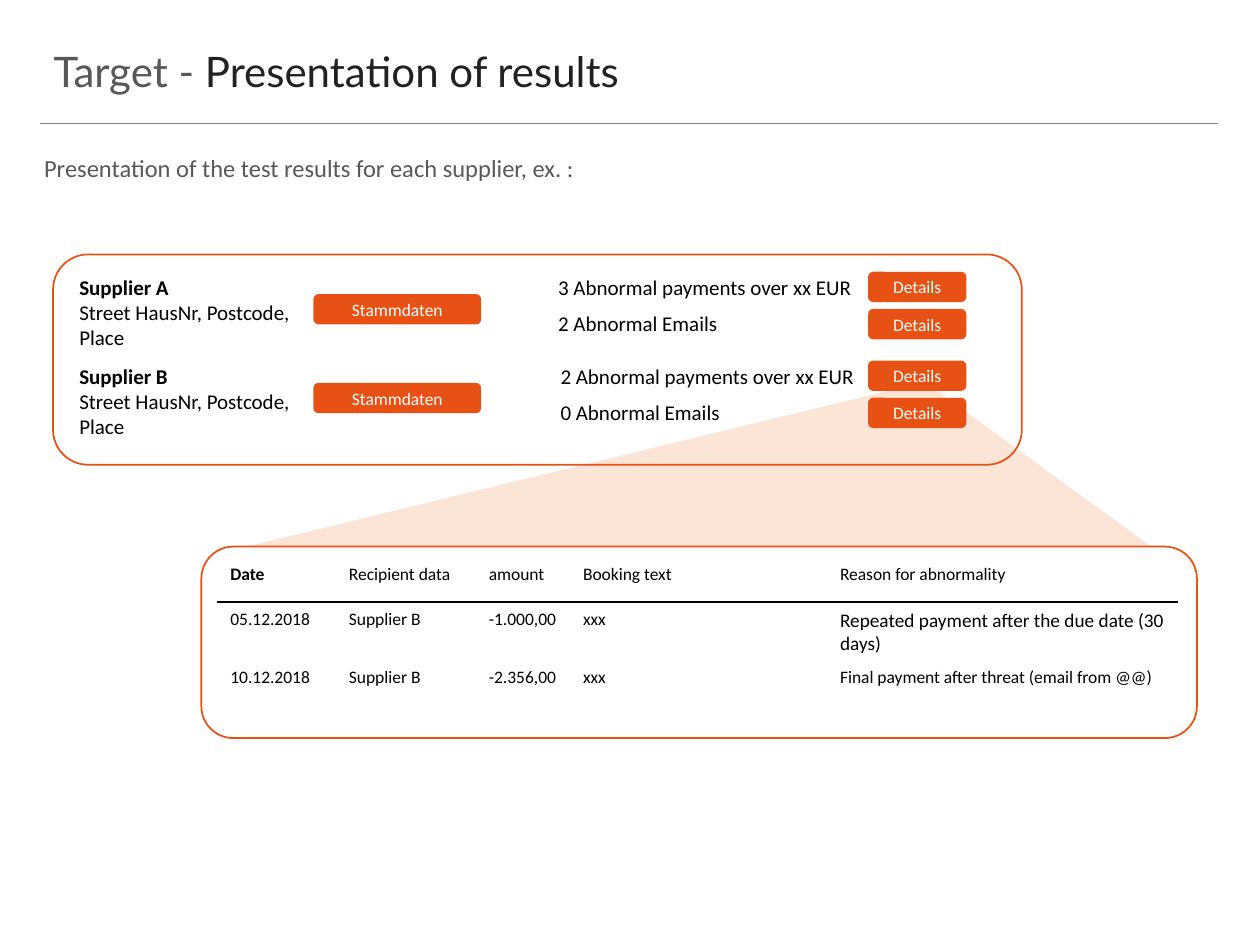
import pptx
import pptx.dml.color
import pptx.enum.shapes
import pptx.enum.text
import pptx.oxml
import pptx.util
from lxml import etree
from pptx.util import Cm

KIND = pptx.enum.shapes.MSO_SHAPE
DRAW = "http://schemas.openxmlformats.org/drawingml/2006/main"
ORANGE = "E75113"
BLACK = "000000"


def color(code):
    """Turn a hex string into a colour."""
    return pptx.dml.color.RGBColor.from_string(code)


def style(font, size, code, face="Calibri"):
    """Set the face, size and colour of a font."""
    font.name = face
    font.size = pptx.util.Pt(size)
    font.color.rgb = color(code)


def add_shape(slide, kind, box, fill=None, line=None):
    """Add a preset shape with a plain fill or outline."""
    shape = slide.shapes.add_shape(kind, *map(Cm, box))
    shape.shadow.inherit = False
    if fill:
        shape.fill.solid()
        shape.fill.fore_color.rgb = color(fill)
    else:
        shape.fill.background()
    if line:
        shape.line.color.rgb = color(line)
        shape.line.width = pptx.util.Pt(1)
    else:
        shape.line.fill.background()
    return shape


def add_text(slide, box, lines, size, code, after=0):
    """Add a wrapping text box, one paragraph a line, and return its frame."""
    frame = slide.shapes.add_textbox(*map(Cm, box)).text_frame
    frame.word_wrap = True
    for index, line in enumerate(lines):
        para = frame.paragraphs[0] if index == 0 else frame.add_paragraph()
        para.add_run().text = line
        para.space_after = pptx.util.Pt(after)
        style(para.font, size, code)
    return frame


def add_title(slide):
    """Add the two-tone title and the rule under it."""
    frame = add_text(slide, (0.64, 0.79, 16.08, 1.27), ["Target - "], 24, "58585A")
    frame.margin_left = Cm(0.44)
    para = frame.paragraphs[0]
    para.font.name = "Lato"
    run = para.add_run()
    run.text = "Presentation of results"
    run.font.color.rgb = color("202124")
    rule = slide.shapes.add_connector(
        pptx.enum.shapes.MSO_CONNECTOR.STRAIGHT, Cm(0.81), Cm(2.49), Cm(24.56), Cm(2.49))
    rule.line.color.rgb = color("7F7F7F")
    rule.line.width = pptx.util.Pt(0.75)
    etree.SubElement(rule._element.spPr, f"{{{DRAW}}}effectLst")


def add_button(slide, left, top, width, label):
    """Add an orange button with a centred label."""
    shape = add_shape(slide, KIND.ROUNDED_RECTANGLE, (left, top, width, 0.61), ORANGE)
    frame = shape.text_frame
    frame.margin_top = frame.margin_bottom = 0
    frame.vertical_anchor = pptx.enum.text.MSO_ANCHOR.MIDDLE
    para = frame.paragraphs[0]
    para.text = label
    para.alignment = pptx.enum.text.PP_ALIGN.CENTER
    style(para.font, 10, "FFFFFF")


def add_firm(slide, top, left, name, notes):
    """Add one supplier with its address, findings and buttons."""
    frame = add_text(slide, (1.35, top, 8.56, 2.31), ["", "Place"], 12, BLACK)
    para = frame.paragraphs[0]
    para.runs[0].text = name
    para.runs[0].font.bold = True
    para.add_line_break()
    para.add_run().text = "Street HausNr, Postcode,"
    add_button(slide, 6.32, top + 0.52, 3.38, "Stammdaten")
    add_text(slide, (left, top, 8.56, 1.5), notes, 12, BLACK, 6)
    for row in range(len(notes)):
        add_button(slide, 17.5, top + 0.07 + row * 0.75, 1.98, "Details")


def add_edge(cell, side):
    """Draw a black border on one side of a cell."""
    edge = pptx.oxml.parse_xml(
        f'<a:{side} xmlns:a="{DRAW}" w="12700"><a:solidFill>'
        f'<a:srgbClr val="{BLACK}"/></a:solidFill></a:{side}>')
    cell._tc.get_or_add_tcPr().insert(0, edge)


def add_grid(slide, rows):
    """Add the table of abnormal payments."""
    widths = [2.39, 2.82, 1.9, 5.18, 7.06]
    heights = [0.89, 1.17, 0.69]
    table = slide.shapes.add_table(
        len(rows), len(widths), Cm(4.39), Cm(11.25), Cm(sum(widths)), Cm(sum(heights))).table
    table.first_row = table.horz_banding = False
    for col, width in zip(table.columns, widths):
        col.width = Cm(width)
    for y, (texts, height) in enumerate(zip(rows, heights)):
        table.rows[y].height = Cm(height)
        for x, text in enumerate(texts):
            cell = table.cell(y, x)
            cell.text = text
            cell.fill.background()
            font = cell.text_frame.paragraphs[0].font
            style(font, 11 if (y, x) == (1, 4) else 10, BLACK)
            font.bold = (y, x) == (0, 0)
            if y < 2:
                add_edge(cell, ("lnB", "lnT")[y])


def main():
    """Build the slide and save it."""
    deck = pptx.Presentation()
    deck.slide_width, deck.slide_height = Cm(25.4), Cm(19.05)
    slide = deck.slides.add_slide(deck.slide_layouts[6])
    beam = add_shape(slide, KIND.ISOSCELES_TRIANGLE, (4.93, 7.7, 18.29, 3.33), "FBE5D6")
    beam.adjustments[0] = 0.75
    add_title(slide)
    add_text(slide, (0.64, 2.97, 24.08, 0.86),
             ["Presentation of the test results for each supplier, ex. :"], 14, "58585A")
    add_firm(slide, 5.41, 11.0, "Supplier A",
             ["3 Abnormal payments over xx EUR", "2 Abnormal Emails"])
    add_firm(slide, 7.2, 11.05, "Supplier B",
             ["2 Abnormal payments over xx EUR", "0 Abnormal Emails"])
    add_shape(slide, KIND.ROUNDED_RECTANGLE, (1.07, 5.13, 19.53, 4.24), line=ORANGE)
    add_grid(slide, [
        ["Date", "Recipient data", "amount", "Booking text", "Reason for abnormality"],
        ["05.12.2018", "Supplier B", "-1.000,00", "xxx",
         "Repeated payment after the due date (30 days)"],
        ["10.12.2018", "Supplier B", "-2.356,00", "xxx",
         "Final payment after threat (email from @@)"],
    ])
    add_shape(slide, KIND.ROUNDED_RECTANGLE, (4.06, 11.02, 20.07, 3.86), line=ORANGE)
    deck.save("out.pptx")


if __name__ == "__main__":
    main()
